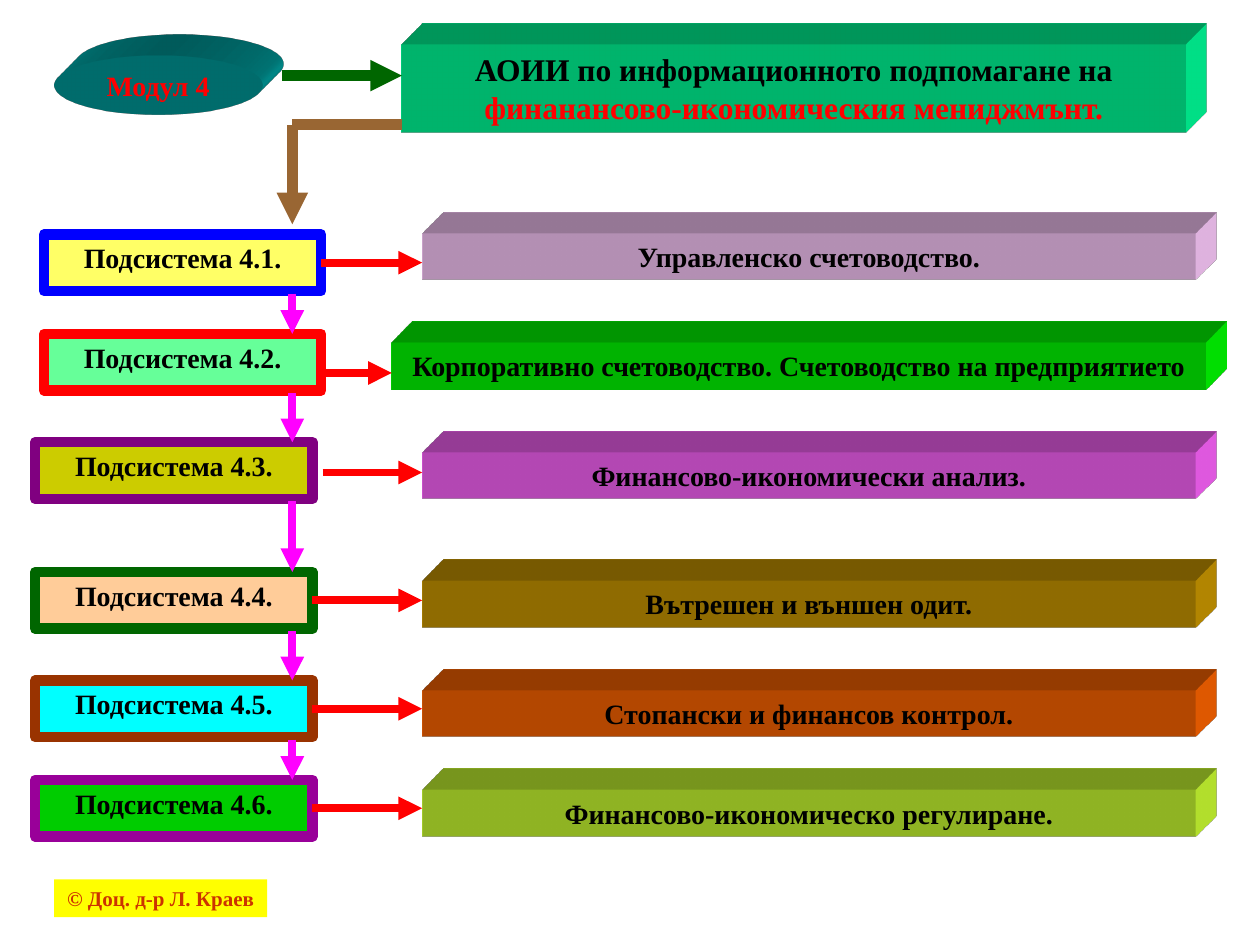
import pptx
import pptx.util
import pptx.dml.color
import pptx.enum.shapes
import pptx.enum.text
import pptx.oxml
import lxml.etree

NS = "http://schemas.openxmlformats.org/drawingml/2006/main"
SHAPE = pptx.enum.shapes.MSO_SHAPE
ANCHOR = pptx.enum.text.MSO_ANCHOR
CELL = 0.2 / 2.54

COLORS = {
    "black": "000000", "red": "FF0000", "blue": "0000FF", "yellow": "FFFF00",
    "teal": "009999", "mint": "00FF99", "rust": "CC3300", "brown": "996633",
    "dark green": "006600", "magenta": "FF00FF", "lemon": "FFFF66",
    "pale pink": "FFCCFF", "light green": "66FF99", "lime": "00FF00",
    "olive": "CCCC00", "purple": "800080", "pink": "FF66FF", "peach": "FFCC99",
    "ochre": "CC9900", "cyan": "00FFFF", "sienna": "993300", "orange": "FF6600",
    "green": "00CC00", "violet": "990099", "yellow green": "CCFF33",
}

SUBSYSTEMS = [
    dict(name="Подсистема 4.1.", topic="Управленско счетоводство.", row=23.6, col=4.5,
         fill="lemon", border="blue", bar="pale pink", bar_drop=-0.1),
    dict(name="Подсистема 4.2.", row=33.6, col=4.5, fill="light green", border="red",
         topic="Корпоративно счетоводство. Счетоводство на предприятието",
         bar="lime", bar_col=39.5, bar_cols=82, arrow_drop=4, joined=False),
    dict(name="Подсистема 4.3.", topic="Финансово-икономически анализ.", row=44.6,
         fill="olive", border="purple", bar="pink", arrow_col=32.5, arrow_drop=3, joined=False),
    dict(name="Подсистема 4.4.", topic="Вътрешен и външен одит.", row=57.6,
         fill="peach", border="dark green", bar="ochre"),
    dict(name="Подсистема 4.5.", topic="Стопански и финансов контрол.", row=68.6,
         fill="cyan", border="sienna", bar="orange"),
    dict(name="Подсистема 4.6.", topic="Финансово-икономическо регулиране.", row=78.6,
         fill="green", border="violet", bar="yellow green"),
]
BOX_COLS, BOX_ROWS = 28, 5.7


def grid(cells):
    """Turn grid cells into a length."""
    return pptx.util.Inches(round(cells * CELL, 2))


def rgb(name):
    """Look up a named colour."""
    return pptx.dml.color.RGBColor.from_string(COLORS[name])


def write(shape, *parts, size=16, wrap=True, anchor=ANCHOR.TOP, grow=True):
    """Write centred bold (text, colour) parts into a shape."""
    frame = shape.text_frame
    frame.word_wrap = wrap
    frame.vertical_anchor = anchor
    if grow:
        frame.auto_size = pptx.enum.text.MSO_AUTO_SIZE.SHAPE_TO_FIT_TEXT
    paragraph = frame.paragraphs[0]
    paragraph.alignment = pptx.enum.text.PP_ALIGN.CENTER
    for text, color in parts:
        run = paragraph.add_run()
        run.text = text
        run.font.name = "Times New Roman"
        run.font.size = pptx.util.Pt(size)
        run.font.bold = True
        run.font.color.rgb = rgb(color)


def extrude(shape, color):
    """Give a shape an oblique solid depth towards the top right."""
    scene = (f'<a:scene3d xmlns:a="{NS}"><a:camera prst="legacyObliqueTopRight"/>'
             '<a:lightRig rig="legacyFlat3" dir="b"/></a:scene3d>')
    depth = (f'<a:sp3d xmlns:a="{NS}" extrusionH="430200" prstMaterial="legacyMatte">'
             '<a:bevelT w="13500" h="13500" prst="angle"/>'
             '<a:bevelB w="13500" h="13500" prst="angle"/>'
             f'<a:extrusionClr><a:srgbClr val="{COLORS[color]}"/></a:extrusionClr></a:sp3d>')
    for xml in (scene, depth):
        shape._element.spPr.append(pptx.oxml.parse_xml(xml))


def block(slide, box, fill, border=None, solid=False, kind=SHAPE.RECTANGLE):
    """Add a filled shape at (column, row, columns, rows)."""
    shape = slide.shapes.add_shape(kind, *map(grid, box))
    shape.fill.solid()
    shape.fill.fore_color.rgb = rgb(fill)
    if border:
        shape.line.color.rgb = rgb(border)
        shape.line.width = pptx.util.Pt(6)
    else:
        shape.line.fill.background()
    shape.shadow.inherit = False
    if solid:
        extrude(shape, fill)
    return shape


def connect(slide, start, end, color, width=4.5, head=True, source=None):
    """Draw a straight line, joined to the right side of a source if given."""
    line = slide.shapes.add_connector(
        pptx.enum.shapes.MSO_CONNECTOR.STRAIGHT, *map(grid, start + end))
    if source is not None:
        line.begin_connect(source, 3)
        line.end_y = line.begin_y
    line.line.color.rgb = rgb(color)
    line.line.width = pptx.util.Pt(width)
    if head:
        outline = line.line._get_or_add_ln()
        lxml.etree.SubElement(outline, f"{{{NS}}}tailEnd", type="triangle")
    lxml.etree.SubElement(line._element.spPr, f"{{{NS}}}effectLst")


def add_heading(slide, col, row):
    """Place the module, its title and the arrows leaving them."""
    module = block(slide, (col, row + 1.2, 21, 6), "teal", solid=True, kind=SHAPE.OVAL)
    write(module, ("Модул 4", "red"), wrap=False, anchor=ANCHOR.MIDDLE, grow=False)
    title = block(slide, (col + 35, row, 79, 8.9), "mint", solid=True)
    write(title, ("АОИИ по информационното подпомагане на ", "black"),
          ("финанансово-икономическия мениджмънт.", "red"), size=18)
    title_edge, turn, level = col + 35, col + 24, row + 8.2
    connect(slide, (col + 23, row + 3.2), (title_edge, row + 3.2), "dark green", 6)
    connect(slide, (title_edge, level), (turn, level), "brown", 6, head=False)
    connect(slide, (turn, level), (turn, level + 10), "brown", 6)


def add_subsystem(slide, name, topic, row, fill, border, bar, col=3.5, bar_col=42.5,
                  bar_cols=78, bar_drop=1, arrow_col=None, arrow_drop=BOX_ROWS / 2,
                  joined=True):
    """Place one subsystem box, its topic bar and the arrow between them."""
    subsystem = block(slide, (col, row, BOX_COLS, BOX_ROWS), fill, border)
    write(subsystem, (name, "black"))
    topic_bar = block(slide, (bar_col, row + bar_drop, bar_cols, 4.7), bar, solid=True)
    write(topic_bar, (topic, "black"))
    level = row + arrow_drop
    connect(slide, (arrow_col or col + BOX_COLS, level), (bar_col, level), "red",
            source=subsystem if joined else None)


def add_sequence(slide, col, rows):
    """Draw the arrows that lead from each subsystem to the next."""
    for row, following in zip(rows, rows[1:]):
        connect(slide, (col, row + 6), (col, following), "magenta")


def add_author(slide, col, row):
    """Place the copyright label."""
    label = block(slide, (col, row, 21.5, 3.8), "yellow")
    write(label, ("© Доц. д-р Л. Краев", "rust"), size=12, wrap=False)


def main():
    """Build the slide and save it."""
    deck = pptx.Presentation()
    deck.slide_width = pptx.util.Inches(10)
    deck.slide_height = pptx.util.Inches(7.5)
    slide = deck.slides.add_slide(deck.slide_layouts[6])
    add_author(slide, 5.5, 88.6)
    add_heading(slide, 5.5, 4.4)
    for subsystem in SUBSYSTEMS:
        add_subsystem(slide, **subsystem)
    add_sequence(slide, 29.5, [subsystem["row"] for subsystem in SUBSYSTEMS])
    deck.save("out.pptx")


if __name__ == "__main__":
    main()
